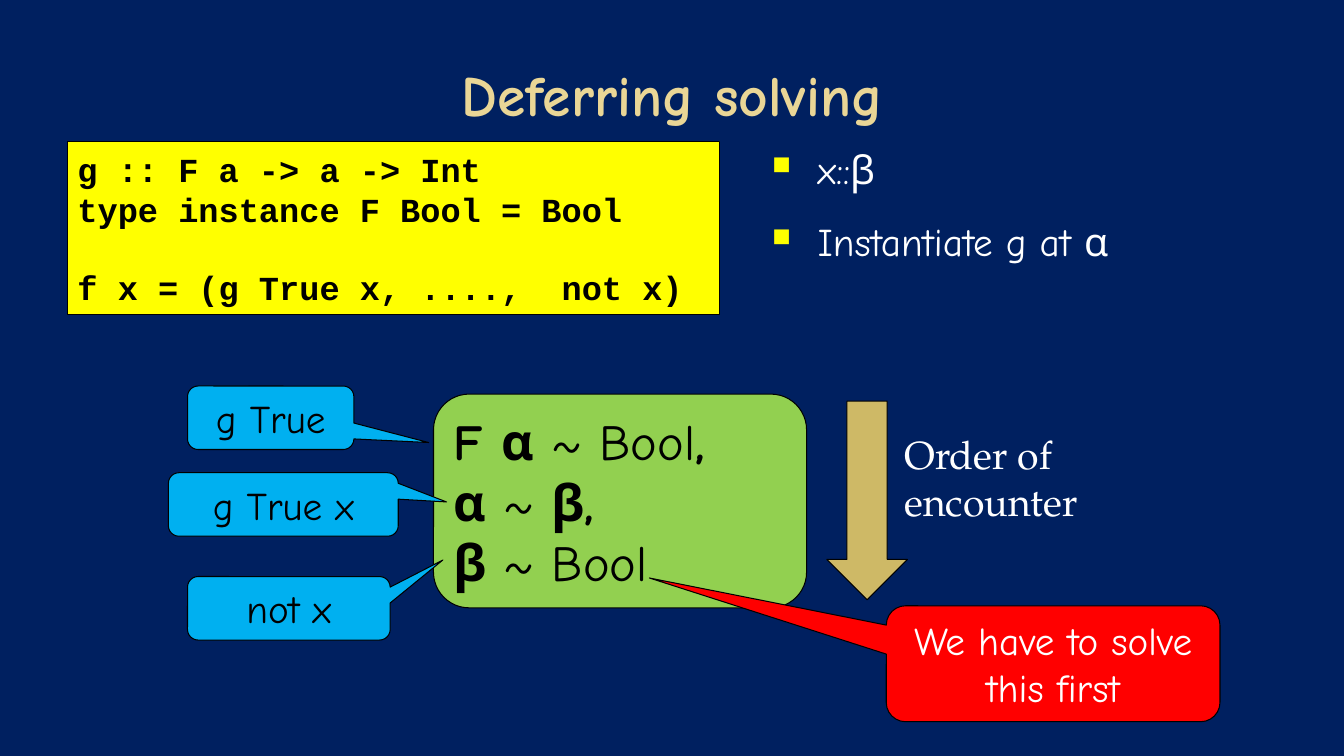
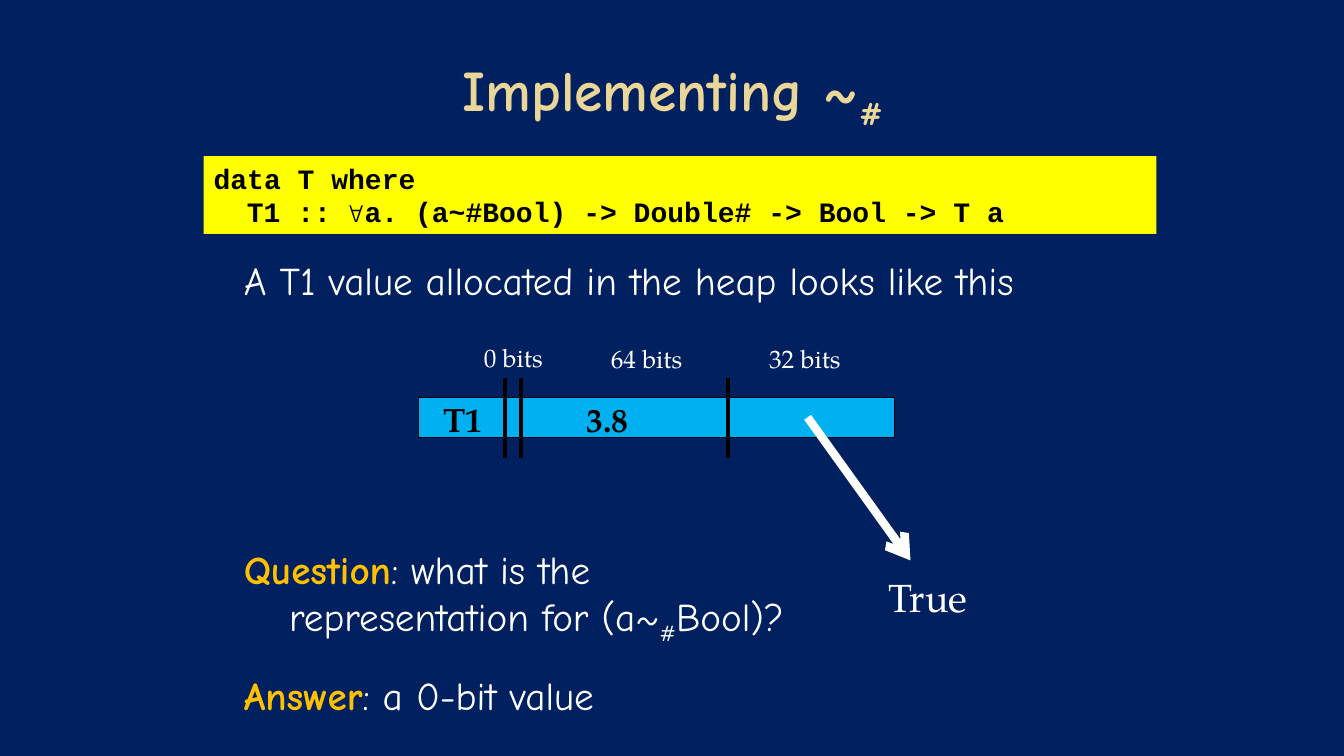
import pptx
import pptx.util
import pptx.dml.color
import pptx.enum.shapes
import pptx.enum.text
import pptx.oxml.ns
import lxml.etree

Inches, Pt = pptx.util.Inches, pptx.util.Pt
KIND = pptx.enum.shapes.MSO_SHAPE
ALIGN = pptx.enum.text.PP_ALIGN
ANCHOR = pptx.enum.text.MSO_ANCHOR

HUES = {"navy": "002060", "sand": "EAD696", "tan": "CEB966", "white": "FFFFFF",
        "black": "000000", "yellow": "FFFF00", "green": "92D050",
        "blue": "00B0F0", "red": "FF0000", "gold": "FFC000"}
HAND, MONO, SERIF = "Comic Neue", "Courier New", "TeX Gyre Pagella"

# A paragraph is a list of runs: (text, flags), b bold, s subscript, k gold.
# Slide 1
TITLE1 = [("Deferring solving", "b")]
CODE1 = [[("g :: F a -> a -> Int", "b")],
         [("type instance F Bool = Bool", "b")],
         [("f x = (g True x, ....,  not x)", "b")]]
STEPS = [[("x::β", "")], [("Instantiate g at α", "")]]
GOALS = [[("F α ", "b"), ("~ Bool", ""), (",", "b")],
         [("α", "b"), (" ~ ", ""), ("β,", "b")],
         [("β", "b"), (" ~ Bool", "")]]
# text, box, pointer tip, fill, font colour
CALLS = [("g True", (1.86, 3.83, 1.65, 0.63), (0.95, 0.39), "blue", "black"),
         ("g True x", (1.67, 4.69, 2.28, 0.63), (0.71, -0.04), "blue", "black"),
         ("not x", (1.86, 5.72, 2.01, 0.63), (0.76, -0.76), "blue", "black"),
         ("We have to solve this first", (8.79, 6.01, 3.31, 1.15),
          (-1.21, -0.74), "red", "white")]

# Slide 2
TITLE2 = [("Implementing ~", "b"), ("#", "bs")]
CODE2 = [[("data T where", "b")],
         [("T1 :: ∀a. (a~#Bool) -> Double# -> Bool -> T a", "b")]]
BODY = [[("A T1 value allocated in the heap looks like this", "")],
        [("Question", "bk"), (": what is the\nrepresentation for (a~", ""),
         ("#", "s"), ("Bool)?", "")],
        [("Answer", "bk"), (": a 0-bit value", "")]]
# text, box, size, colour, flags
LABELS = [("T1", (4.3, 3.91, 0.79, 0.5), 24, "black", "b"),
          ("3.8", (5.72, 3.91, 0.79, 0.5), 24, "black", "b"),
          ("0 bits", (4.7, 3.35, 1.02, 0.4), 18, "white", ""),
          ("64 bits", (5.96, 3.36, 1.02, 0.4), 18, "white", ""),
          ("32 bits", (7.53, 3.36, 1.02, 0.4), 18, "white", ""),
          ("True", (8.71, 5.64, 1.02, 0.57), 28, "white", "")]
BARS = [5.01, 5.17, 7.22]


def rgb(hue):
    return pptx.dml.color.RGBColor.from_string(HUES[hue])


def sub(node, tag, **attrs):
    return lxml.etree.SubElement(node, pptx.oxml.ns.qn("a:" + tag), attrs)


def write(shape, paras, size, face, hue, align=ALIGN.LEFT, mid=False,
          gaps=(), dents=()):
    """Fill a shape with paragraphs; gaps are points before each paragraph,
    dents are pairs of left margin and first-line indent in inches."""
    frame = shape.text_frame
    frame.word_wrap = True
    frame.vertical_anchor = ANCHOR.MIDDLE if mid else ANCHOR.TOP
    for i, runs in enumerate(paras):
        para = frame.paragraphs[0] if i == 0 else frame.add_paragraph()
        para.alignment = align
        if gaps:
            para.space_before = Pt(gaps[i])
        if dents:
            props = para._p.get_or_add_pPr()
            props.set("marL", str(Inches(dents[i][0])))
            props.set("indent", str(Inches(dents[i][1])))
        for text, flags in runs:
            for j, part in enumerate(text.split("\n")):
                if j:
                    para.add_line_break()
                run = para.add_run()
                run.text = part
                font = run.font
                font.size, font.name = Pt(size), face
                font.bold = "b" in flags
                font.color.rgb = rgb("gold" if "k" in flags else hue)
                if "s" in flags:
                    font._element.set("baseline", "-25000")


def bullet(shape, hue):
    for para in shape.text_frame.paragraphs:
        props = para._p.get_or_add_pPr()
        sub(sub(props, "buClr"), "srgbClr", val=HUES[hue])
        sub(props, "buSzPct", val="65000")
        sub(props, "buChar", char="■")


def text(slide, box, *args, **opts):
    shape = slide.shapes.add_textbox(*map(Inches, box))
    write(shape, *args, **opts)
    return shape


def block(slide, kind, box, fill, edge=True):
    shape = slide.shapes.add_shape(kind, *map(Inches, box))
    shape.shadow.inherit = False
    shape.fill.solid()
    shape.fill.fore_color.rgb = rgb(fill)
    if edge:
        shape.line.color.rgb = rgb("black")
        shape.line.width = Pt(0.75)
    else:
        shape.line.fill.background()
    return shape


def line(slide, ends, hue, width, arrow=False):
    link = slide.shapes.add_connector(
        pptx.enum.shapes.MSO_CONNECTOR.STRAIGHT, *map(Inches, ends))
    link.line.color.rgb = rgb(hue)
    link.line.width = Pt(width)
    if arrow:
        sub(link.line._get_or_add_ln(), "tailEnd", type="arrow")
    sub(link._element.spPr, "effectLst")


def start(deck, title):
    """Add a slide with the shared title."""
    slide = deck.slides.add_slide(deck.slide_layouts[6])
    text(slide, (0.67, 0.3, 12, 1.25), [title], 41, HAND, "sand",
         ALIGN.CENTER, mid=True)
    return slide


def defer(deck):
    slide = start(deck, TITLE1)
    steps = text(slide, (7.41, 1.39, 4.25, 2.05), STEPS, 28, HAND, "white",
                 gaps=(18, 18), dents=[(0.6, -0.45)] * 2)
    bullet(steps, "yellow")
    goals = block(slide, KIND.ROUNDED_RECTANGLE, (4.3, 3.91, 3.7, 2.12), "green")
    write(goals, GOALS, 36, HAND, "black", mid=True)
    code = block(slide, KIND.RECTANGLE, (0.67, 1.4, 6.47, 1.72), "yellow")
    write(code, CODE1, 24, MONO, "black", mid=True, gaps=(0, 0, 27))
    for words, box, tip, fill, hue in CALLS:
        call = block(slide, KIND.ROUNDED_RECTANGULAR_CALLOUT, box, fill)
        call.adjustments[0], call.adjustments[1] = tip
        write(call, [[(words, "")]], 28, HAND, hue, ALIGN.CENTER, mid=True)
    block(slide, KIND.DOWN_ARROW, (8.2, 3.98, 0.8, 1.97), "tan")
    text(slide, (8.87, 4.22, 2.52, 1.04), [[("Order of encounter", "")]],
         28, SERIF, "white")


def layout(deck):
    slide = start(deck, TITLE2)
    text(slide, (2.17, 2.49, 9, 4.41), BODY, 28, HAND, "white",
         gaps=(18, 173, 18), dents=[(0.6, -0.45)] * 3)
    code = block(slide, KIND.RECTANGLE, (2.02, 1.55, 9.45, 0.77), "yellow", False)
    write(code, CODE2, 20, MONO, "black", dents=[(0, 0), (0.33, 0)])
    block(slide, KIND.RECTANGLE, (4.15, 3.94, 4.72, 0.4), "blue")
    for x in BARS:
        line(slide, (x, 3.75, x, 4.54), "black", 3)
    line(slide, (8.01, 4.14, 9.03, 5.56), "white", 6, arrow=True)
    for words, box, size, hue, flags in LABELS:
        text(slide, box, [[(words, flags)]], size, SERIF, hue)


def main():
    deck = pptx.Presentation()
    deck.slide_width, deck.slide_height = Inches(13.33), Inches(7.5)
    back = deck.slide_master.background.fill
    back.solid()
    back.fore_color.rgb = rgb("navy")
    defer(deck)
    layout(deck)
    deck.save("out.pptx")


if __name__ == "__main__":
    main()
